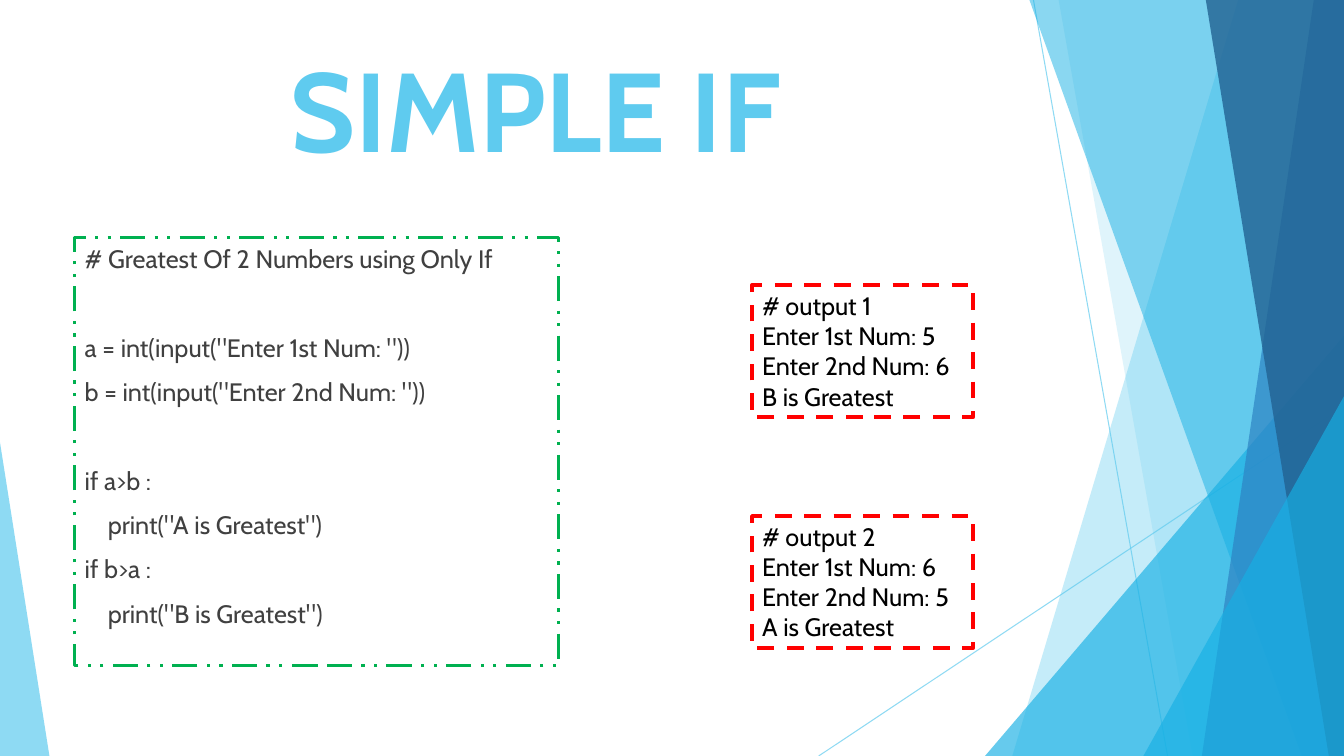
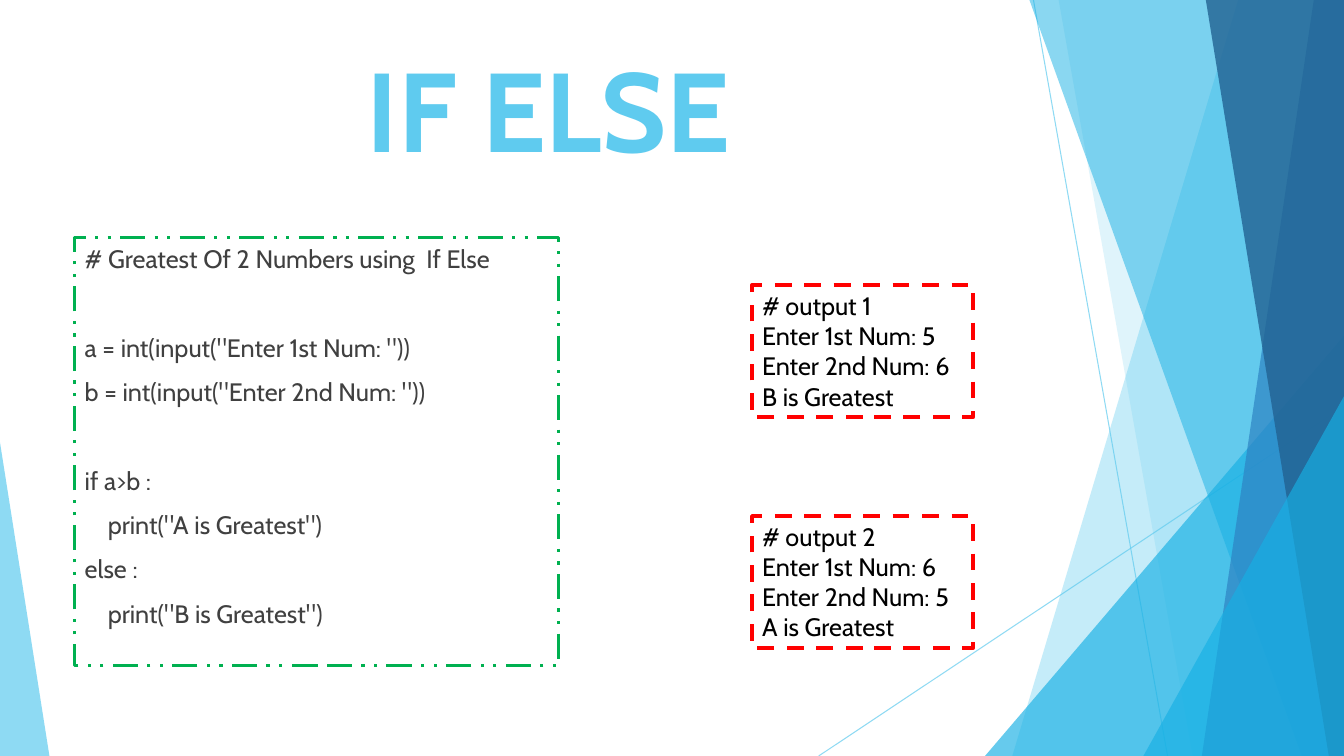
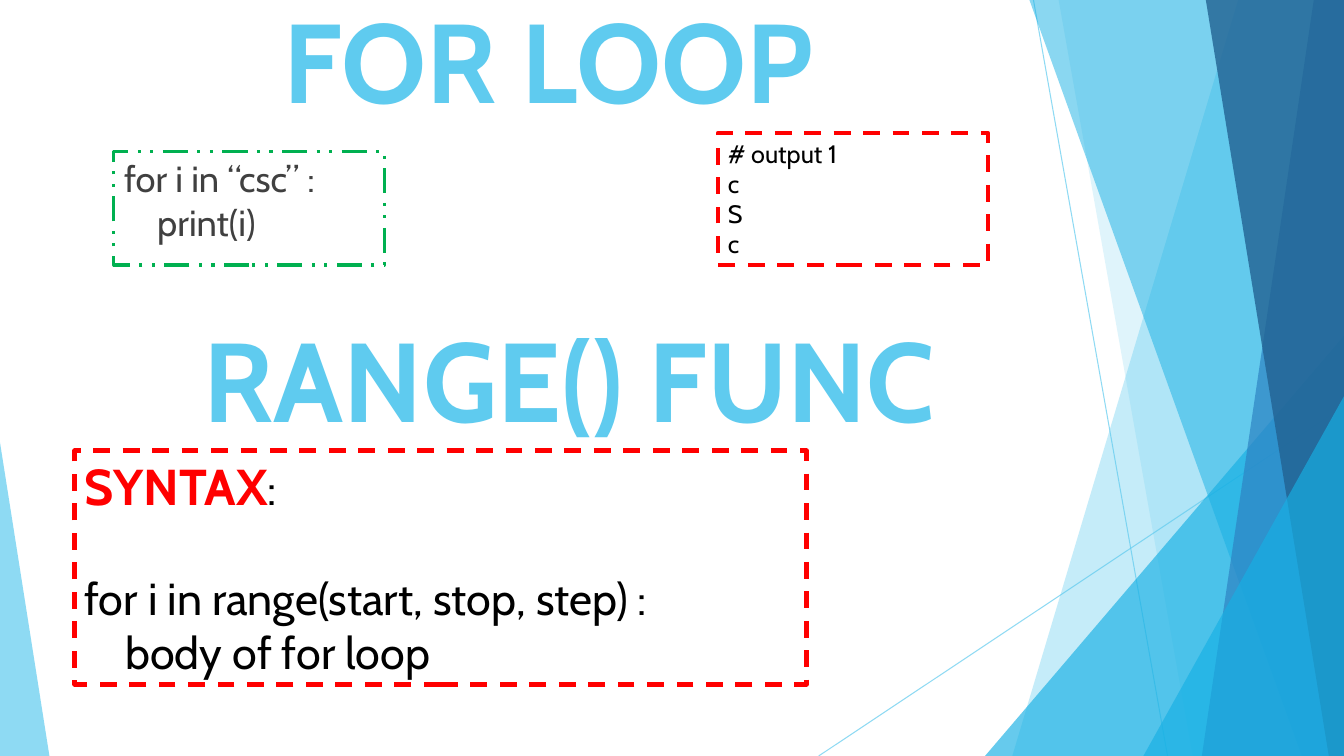
import dataclasses

import pptx
import pptx.dml.color
import pptx.enum.dml
import pptx.enum.shapes
import pptx.enum.text
import pptx.oxml.ns
import pptx.util

Inches = pptx.util.Inches
Pt = pptx.util.Pt
qn = pptx.oxml.ns.qn
Shape = pptx.enum.shapes.MSO_SHAPE
Dash = pptx.enum.dml.MSO_LINE
Align = pptx.enum.text.PP_ALIGN

FONT = "Cabin"
WIDE, HIGH = 13.33, 7.5
HEX = {
    "sky": "5FCBEF", "cyan": "17B0E4", "blue": "2E83C3", "navy": "226292",
    "green": "00B050", "red": "FF0000", "grey": "404040", "black": "000000",
}


# Parts of the slides
@dataclasses.dataclass
class Ray:
    start: tuple
    end: tuple


@dataclasses.dataclass
class Pane:
    """Band from the right edge to a slanted side."""
    top: float
    foot: float
    color: str
    alpha: int


@dataclasses.dataclass
class Wedge:
    """Triangle standing on the bottom edge."""
    left: float
    width: float
    height: float
    tip: float
    color: str
    alpha: int


@dataclasses.dataclass
class Run:
    text: str
    size: float
    color: str
    bold: bool = False


@dataclasses.dataclass
class Box:
    area: tuple
    lines: list
    size: float = 18
    gap: float = 0


@dataclasses.dataclass
class Page:
    title: str
    top: float
    code: Box
    outs: list


DECOR = [
    Ray((10.25, 0), (11.58, HIGH)),
    Ray((WIDE, 4.03), (8.12, HIGH)),
    Pane(12.28, 10.04, "sky", 36),
    Pane(10.5, 11.83, "sky", 20),
    Wedge(9.77, 3.56, 4.17, 1, "cyan", 66),
    Pane(10.21, 12.91, "cyan", 50),
    Pane(13.03, 11.92, "blue", 70),
    Pane(11.96, 13.18, "navy", 80),
    Wedge(11.34, 1.99, 3.57, 1, "cyan", 66),
    Wedge(0, 0.49, 3.11, 0, "sky", 70),
]


def rgb(name: str) -> pptx.dml.color.RGBColor:
    return pptx.dml.color.RGBColor.from_string(HEX[name])


def fade(shape, alpha: int) -> None:
    color = next(shape.element.iter(qn("a:srgbClr")))
    node = color.makeelement(qn("a:alpha"), {"val": str(alpha * 1000)})
    color.append(node)


def place(shape, area: tuple) -> None:
    shape.left, shape.top, shape.width, shape.height = map(Inches, area)


def write(frame, lines: list, *, size: float = 18, color: str = "black",
          bold: bool = False, gap: float = 0, align=Align.LEFT) -> None:
    """Four leading spaces indent a line; an empty line widens the gap."""
    frame.word_wrap = True
    frame.auto_size = pptx.enum.text.MSO_AUTO_SIZE.NONE
    frame.vertical_anchor = pptx.enum.text.MSO_ANCHOR.TOP
    para, extra = None, 0
    for line in lines:
        if not line:
            extra += 1.22 * size + gap
            continue
        para = frame.add_paragraph() if para else frame.paragraphs[0]
        para.alignment = align
        para.space_before = Pt(gap + extra)
        extra = 0
        runs = [Run(line, size, color, bold)] if isinstance(line, str) else line
        depth = 0
        if runs[0].text.startswith("    "):
            depth = 0.0127 * size
            runs[0].text = runs[0].text.lstrip()
        props = para._p.get_or_add_pPr()
        props.set("marL", str(Inches(depth)))
        props.set("indent", "0")
        props.append(props.makeelement(qn("a:buNone"), {}))
        for item in runs:
            run = para.add_run()
            run.text = item.text
            run.font.name = FONT
            run.font.size = Pt(item.size)
            run.font.bold = item.bold
            run.font.color.rgb = rgb(item.color)


def edge(shape, color: str, width: float, dash) -> None:
    shape.line.color.rgb = rgb(color)
    shape.line.width = Pt(width)
    shape.line.dash_style = dash


# Background art, kept once in the layout
def draw(shapes, part) -> None:
    if isinstance(part, Ray):
        ends = map(Inches, part.start + part.end)
        line = shapes.add_connector(pptx.enum.shapes.MSO_CONNECTOR.STRAIGHT, *ends)
        line.line.color.rgb = rgb("sky")
        line.line.width = Pt(0.75)
        props = next(line.element.iter(qn("p:spPr")))
        props.append(props.makeelement(qn("a:effectLst"), {}))
        fade(line, 70)
        return
    if isinstance(part, Pane):
        outline = shapes.build_freeform(Inches(part.top), 0)
        spots = [(WIDE, 0), (WIDE, HIGH), (part.foot, HIGH)]
        outline.add_line_segments([(Inches(x), Inches(y)) for x, y in spots])
        shape = outline.convert_to_shape()
    else:
        area = (part.left, HIGH - part.height, part.width, part.height)
        shape = shapes.add_shape(Shape.ISOSCELES_TRIANGLE, *map(Inches, area))
        shape.adjustments[0] = part.tip
    shape.shadow.inherit = False
    shape.fill.solid()
    shape.fill.fore_color.rgb = rgb(part.color)
    shape.line.fill.background()
    fade(shape, part.alpha)


def dress(slide) -> None:
    """Draw the art and move it behind the layout's placeholders."""
    for part in DECOR:
        draw(slide.shapes, part)
    tree = slide.slide_layout.placeholders[0].element.getparent()
    art = [shape for shape in slide.shapes if not shape.is_placeholder]
    for spot, shape in enumerate(art):
        next(shape.element.iter(qn("p:cNvPr"))).set("id", str(20 + spot))
        tree.insert(2 + spot, shape.element)


# Slide text
def head(shape, text: str, left: float, top: float) -> None:
    place(shape, (left, top, 9.4, 1.44))
    write(shape.text_frame, [text], size=80, color="sky", bold=True,
          align=Align.CENTER)


def build(slide, page: Page) -> None:
    head(slide.shapes.title, page.title, 0.74, page.top)
    body = slide.placeholders[1]
    place(body, page.code.area)
    edge(body, "green", 2.25, Dash.DASH_DOT_DOT)
    write(body.text_frame, page.code.lines, size=page.code.size,
          color="grey", gap=page.code.gap)
    for box in page.outs:
        shape = slide.shapes.add_shape(Shape.RECTANGLE, *map(Inches, box.area))
        shape.shadow.inherit = False
        shape.fill.background()
        edge(shape, "red", 3, Dash.DASH)
        write(shape.text_frame, box.lines, size=box.size, gap=box.gap)


def branch(title: str, topic: str, test: str) -> Page:
    """Page that compares two numbers and shows two trial runs."""
    code = [
        f"# Greatest Of 2 Numbers using {topic}", "",
        'a = int(input("Enter 1st Num: "))',
        'b = int(input("Enter 2nd Num: "))', "",
        "if a>b :", '    print("A is Greatest")',
        f"{test} :", '    print("B is Greatest")',
    ]
    outs = [
        Box((7.46, top, 2.19, 1.31), [
            f"# output {num}", f"Enter 1st Num: {one}",
            f"Enter 2nd Num: {two}", f"{best} is Greatest"])
        for num, top, one, two, best in [(1, 2.83, 5, 6, "B"), (2, 5.12, 6, 5, "A")]
    ]
    return Page(title, 0.35, Box((0.74, 2.36, 4.8, 4.24), code, gap=10), outs)


def main() -> None:
    deck = pptx.Presentation()
    deck.slide_width, deck.slide_height = Inches(WIDE), Inches(HIGH)
    syntax = [Run("SYNTAX", 36, "red", True), Run(":", 32, "black")]
    pages = [
        branch("SIMPLE IF ", "Only If", "if b>a"),
        branch("IF ELSE", " If Else", "else"),
        Page("FOR LOOP", -0.13,
             Box((1.13, 1.5, 2.68, 1.13), ["for i in “csc” :", "    print(i)"], 25.9),
             [Box((7.12, 1.32, 2.68, 1.31), ["# output 1", "c", "S", "c"]),
              Box((0.74, 4.47, 7.26, 2.32),
                  [syntax, "", "for i in range(start, stop, step) :",
                   "    body of for loop"], 32)]),
    ]
    slides = [deck.slides.add_slide(deck.slide_layouts[1]) for _ in pages]
    dress(slides[0])
    for slide, page in zip(slides, pages):
        build(slide, page)

    # Second heading on the loop page
    label = slides[-1].shapes.add_textbox(0, 0, 0, 0)
    head(label, "RANGE() FUNC", 0.95, 3.03)
    deck.save("out.pptx")


if __name__ == "__main__":
    main()
